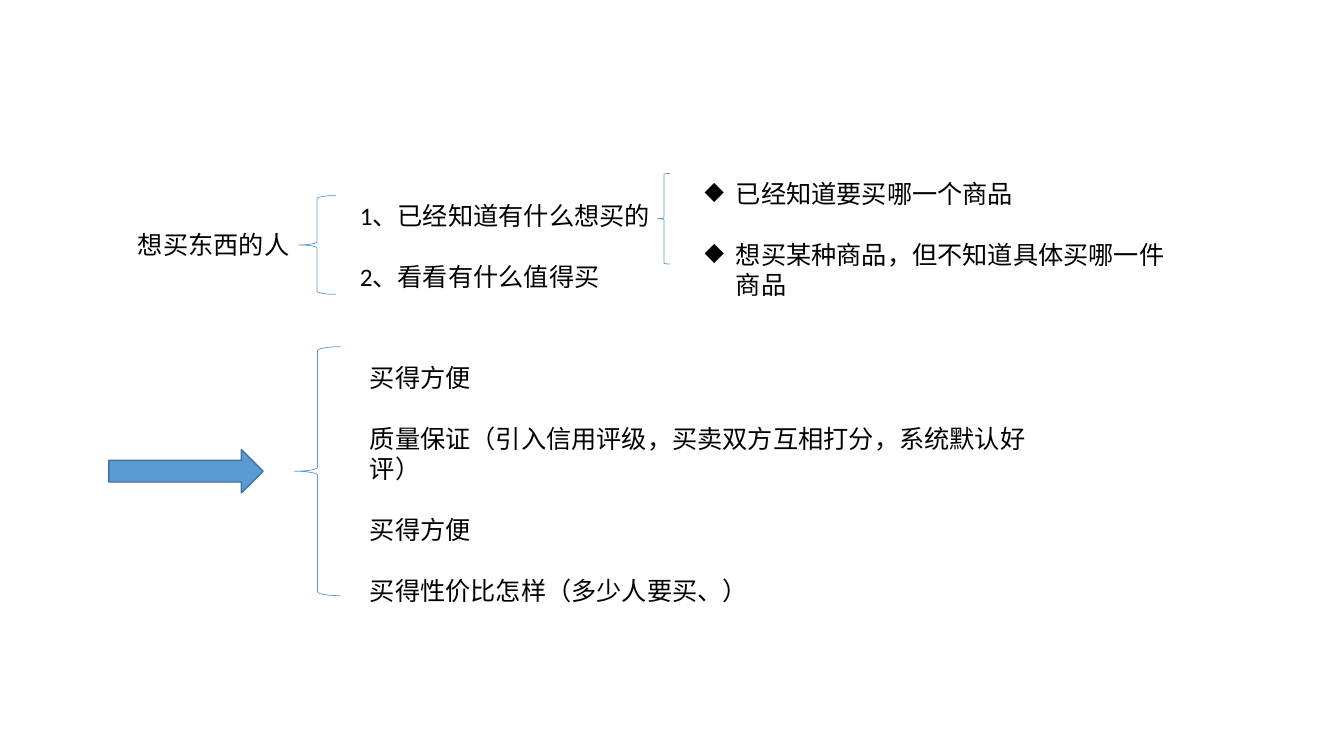
import lxml.etree
import pptx
import pptx.dml.color
import pptx.enum.shapes
import pptx.enum.text
import pptx.oxml.ns
import pptx.util

PX = 9144  # EMU; 100 px to the inch
BLACK = pptx.dml.color.RGBColor(0x00, 0x00, 0x00)
BLUE = pptx.dml.color.RGBColor(0x5B, 0x9B, 0xD5)
DARK_BLUE = pptx.dml.color.RGBColor(0x43, 0x73, 0x9E)
FONT = "Calibri"
TEXT_SIZE = 18
PARAGRAPH_GAP = 22
BULLET_INDENT = 31
SHAPES = pptx.enum.shapes.MSO_SHAPE


def px(*lengths):
    return [length * PX for length in lengths]


def add_bullet(para):
    """Give the paragraph a diamond bullet with a hanging indent."""
    properties = para._p.get_or_add_pPr()
    properties.set("marL", str(BULLET_INDENT * PX))
    properties.set("indent", str(-BULLET_INDENT * PX))
    bullet = lxml.etree.SubElement(properties, pptx.oxml.ns.qn("a:buChar"))
    bullet.set("char", "◆")


def add_text(page, area, lines, bulleted=False):
    box = page.shapes.add_textbox(*px(*area))
    frame = box.text_frame
    frame.word_wrap = True
    frame.auto_size = pptx.enum.text.MSO_AUTO_SIZE.SHAPE_TO_FIT_TEXT
    frame.text = "\n".join(lines)
    for index, para in enumerate(frame.paragraphs):
        if index:
            para.space_before = pptx.util.Pt(PARAGRAPH_GAP)
        if bulleted:
            add_bullet(para)
        for span in para.runs:
            span.font.name = FONT
            span.font.size = pptx.util.Pt(TEXT_SIZE)
            span.font.color.rgb = BLACK


def add_outlined(page, kind, area, line_color, line_width):
    shape = page.shapes.add_shape(kind, *px(*area))
    shape.shadow.inherit = False
    shape.line.color.rgb = line_color
    shape.line.width = pptx.util.Pt(line_width)
    return shape


def add_brace(page, area):
    brace = add_outlined(page, SHAPES.LEFT_BRACE, area, BLUE, 0.5)
    brace.fill.background()


def add_arrow(page, area):
    arrow = add_outlined(page, SHAPES.RIGHT_ARROW, area, DARK_BLUE, 1)
    arrow.fill.solid()
    arrow.fill.fore_color.rgb = BLUE


def main():
    deck = pptx.Presentation()
    deck.slide_width, deck.slide_height = px(1333, 750)
    page = deck.slides.add_slide(deck.slide_layouts[6])

    add_text(page, (127, 223, 269, 40), ["想买东西的人"])
    add_brace(page, (296, 194, 37, 98))
    add_text(page, (347, 194, 342, 131),
             ["1、已经知道有什么想买的", "2、看看有什么值得买"])
    add_brace(page, (652, 172, 13, 90))
    add_text(page, (689, 172, 496, 131),
             ["已经知道要买哪一个商品",
              "想买某种商品，但不知道具体买哪一件商品"], bulleted=True)

    add_arrow(page, (108, 446, 153, 43))
    add_brace(page, (292, 344, 46, 247))
    add_text(page, (357, 354, 701, 252),
             ["买得方便",
              "质量保证（引入信用评级，买卖双方互相打分，系统默认好评）",
              "买得方便",
              "买得性价比怎样（多少人要买、）"])

    deck.save("out.pptx")


if __name__ == "__main__":
    main()
